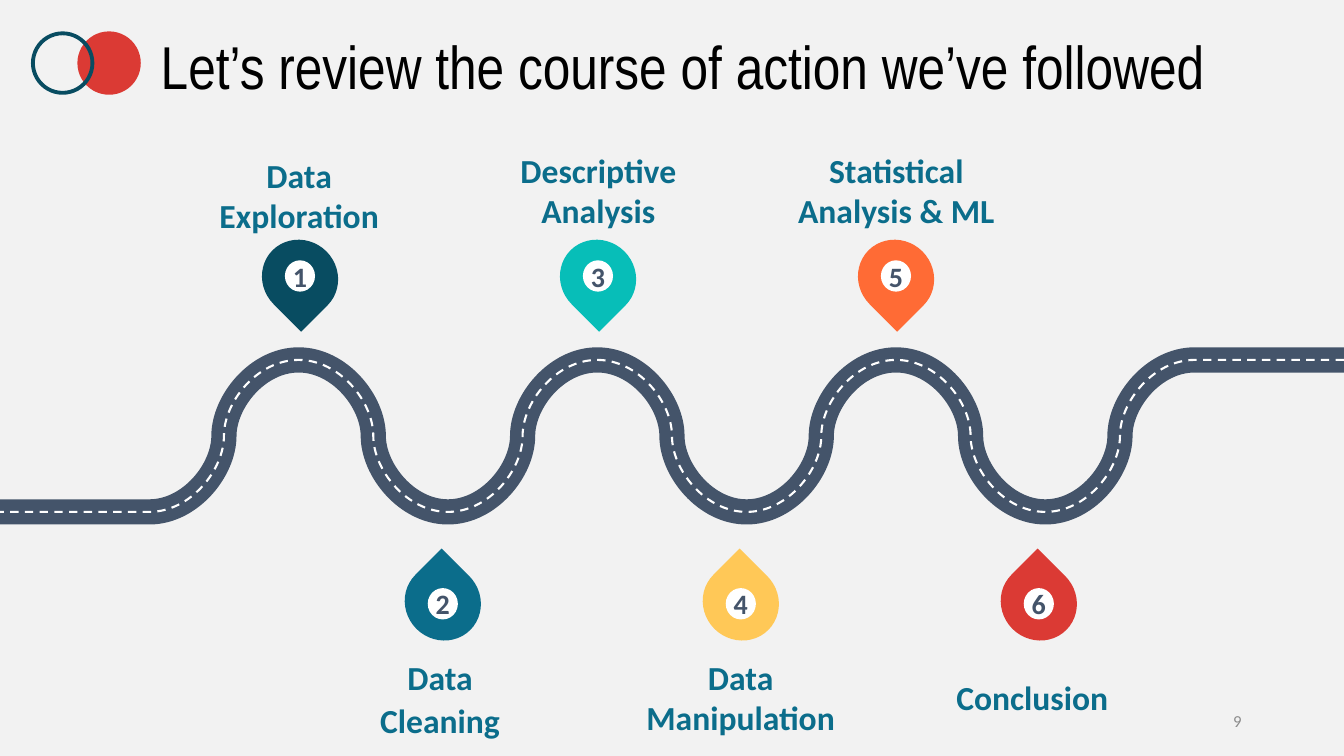
import lxml.etree
import pptx
import pptx.util
import pptx.dml.color
import pptx.enum.dml
import pptx.enum.shapes
import pptx.enum.text
import pptx.oxml.ns

Cm = pptx.util.Cm
Pt = pptx.util.Pt
RGB = pptx.dml.color.RGBColor
KIND = pptx.enum.shapes.MSO_SHAPE
ALIGN = pptx.enum.text.PP_ALIGN
qn = pptx.oxml.ns.qn

PAPER = RGB(0xF2, 0xF2, 0xF2)
WHITE = RGB(0xFF, 0xFF, 0xFF)
BLACK = RGB(0, 0, 0)
GREY = RGB(0x8C, 0x8C, 0x8C)
SLATE = RGB(0x44, 0x54, 0x6A)
NAVY = RGB(0x08, 0x4C, 0x61)
BLUE = RGB(0x0B, 0x6D, 0x8B)
TEAL = RGB(0x07, 0xBE, 0xB8)
ORANGE = RGB(0xFF, 0x6B, 0x35)
GOLD = RGB(0xFF, 0xC8, 0x57)
RED = RGB(0xDB, 0x3A, 0x34)

TITLE = "Let’s review the course of action we’ve followed"
PAGE = "9"
STEPS = [
    ("Data Exploration", NAVY, (5.15, 3.9, 4.78), {}),
    ("Data Cleaning", BLUE, (8.7, 16.56, 4.78), {"lead": 1.07, "after": 8}),
    ("Descriptive Analysis", TEAL, (12.69, 3.77, 4.78), {}),
    ("Data Manipulation", GOLD, (15.53, 16.55, 6.27), {}),
    ("Statistical Analysis & ML", ORANGE, (19.81, 3.77, 5.56), {}),
    ("Conclusion ", RED, (23.72, 16.56, 4.78), {}),
]
ROWS = [
    {"left": 6.62, "pin": 6.02, "dot": 6.56, "turn": 135},
    {"left": 10.22, "pin": 14.2, "dot": 14.82, "turn": 315},
]
PITCH = 7.51
WIDE, TALL = 33.87, 19.05
HIGH, LOW = 9.07, 12.9
HALF = WIDE / 9
BENDS = 7
ROUND = 0.55


def write(shape, text, size, color, font="Calibri", bold=False,
          align=ALIGN.CENTER, pad=0, lead=None, after=None):
    frame = shape.text_frame
    frame.word_wrap = True
    frame.auto_size = pptx.enum.text.MSO_AUTO_SIZE.NONE
    frame.vertical_anchor = pptx.enum.text.MSO_ANCHOR.MIDDLE
    frame.margin_left = frame.margin_right = Cm(pad)
    frame.margin_top = frame.margin_bottom = Cm(pad / 2)
    para = frame.paragraphs[0]
    para.alignment = align
    if lead:
        para.line_spacing = lead
    if after:
        para.space_after = Pt(after)
    run = para.add_run()
    run.text = text
    run.font.size = Pt(size)
    run.font.name = font
    run.font.bold = bold
    run.font.color.rgb = color


def paint(shape, fill=None, line=None, width=0):
    shape.shadow.inherit = False
    if fill is None:
        shape.fill.background()
    else:
        shape.fill.solid()
        shape.fill.fore_color.rgb = fill
    if line is None:
        shape.line.fill.background()
    else:
        shape.line.color.rgb = line
        shape.line.width = Pt(width)
    return shape


def draw(slide, kind, box, **style):
    shape = slide.shapes.add_shape(kind, *map(Cm, box))
    return paint(shape, **style)


def trace():
    mid, reach = (HIGH + LOW) / 2, HALF / 2
    points = [(WIDE, HIGH), (WIDE - 2 * reach * 1, HIGH)]
    for bend in range(BENDS):
        x = HALF * (BENDS + 1 - bend)
        start, end = (HIGH, LOW) if bend % 2 == 0 else (LOW, HIGH)
        turn = x - reach
        points += [(x - ROUND * reach, start),
                   (turn, mid + (1 - ROUND) * (start - mid)),
                   (turn, mid),
                   (turn, mid + (1 - ROUND) * (end - mid)),
                   (turn - (1 - ROUND) * reach, end),
                   (x - HALF, end)]
    points.append((0, LOW))
    return [(Cm(x), Cm(y)) for x, y in points]


def curve(shape):
    for route in shape._element.iter(qn("a:path")):
        legs = route.findall(qn("a:lnTo"))[1:-1]
        for first in range(0, len(legs), 3):
            bow = lxml.etree.Element(qn("a:cubicBezTo"))
            legs[first].addprevious(bow)
            for leg in legs[first:first + 3]:
                bow.append(leg[0])
                route.remove(leg)


def pave(slide, color, width):
    points = trace()
    outline = slide.shapes.build_freeform(*points[0])
    outline.add_line_segments(points[1:], close=False)
    road = outline.convert_to_shape()
    curve(road)
    return paint(road, line=color, width=width)


def mark(slide, index):
    label, color, (left, top, width), style = STEPS[index]
    row = ROWS[index % 2]
    side = row["left"] + PITCH * (index // 2)
    pin = draw(slide, KIND.TEAR, (side, row["pin"], 1.88, 1.96), fill=color)
    pin.rotation = row["turn"]
    dot = draw(slide, KIND.OVAL, (side + 0.56, row["dot"], 0.76, 0.79), fill=WHITE)
    write(dot, str(index + 1), 20, SLATE, bold=True)
    box = slide.shapes.add_textbox(Cm(left), Cm(top), Cm(width), Cm(2.03))
    write(box, label, 24, BLUE, bold=True, **style)


def main():
    deck = pptx.Presentation()
    deck.slide_width, deck.slide_height = Cm(WIDE), Cm(TALL)
    slide = deck.slides.add_slide(deck.slide_layouts[5])
    slide.background.fill.solid()
    slide.background.fill.fore_color.rgb = PAPER

    draw(slide, KIND.OVAL, (2, 0.84, 1.5, 1.5), fill=RED, line=RED, width=2.75)
    draw(slide, KIND.OVAL, (0.83, 0.84, 1.5, 1.5), line=NAVY, width=2.75)

    title = slide.shapes.title
    title.left, title.top, title.width, title.height = map(Cm, (3.8, 0.91, 27.74, 1.68))
    write(title, TITLE, 43.2, BLACK, font="Arial Narrow",
          align=ALIGN.LEFT, pad=0.25, lead=0.9)

    pave(slide, SLATE, 18)
    lane = pave(slide, WHITE, 1.5)
    lane.line.dash_style = pptx.enum.dml.MSO_LINE.DASH
    for index in range(len(STEPS)):
        mark(slide, index)

    page = slide.shapes.add_textbox(Cm(23.92), Cm(17.65), Cm(7.62), Cm(1.02))
    write(page, PAGE, 12, GREY, align=ALIGN.RIGHT, pad=0.25)
    deck.save("out.pptx")


if __name__ == "__main__":
    main()
